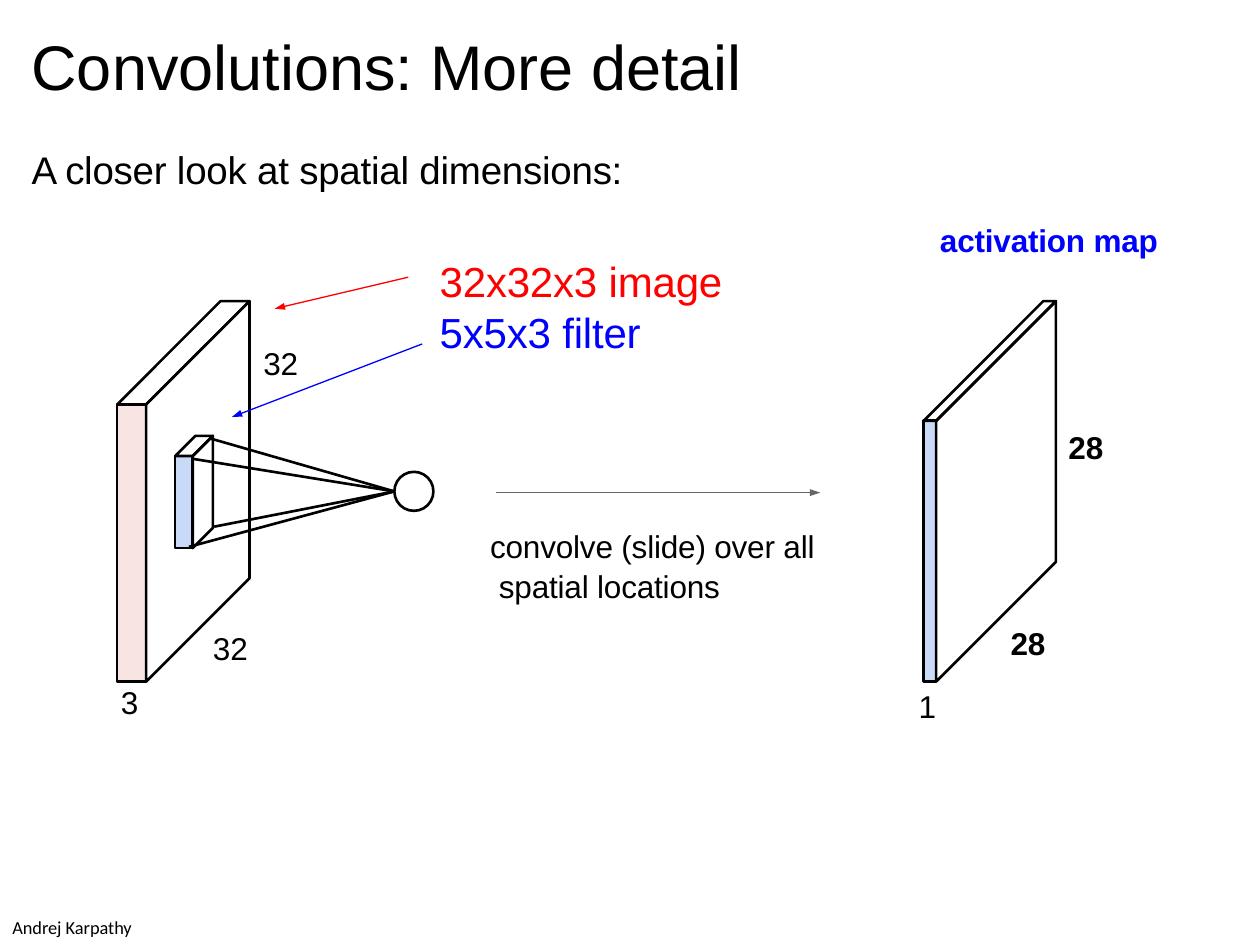
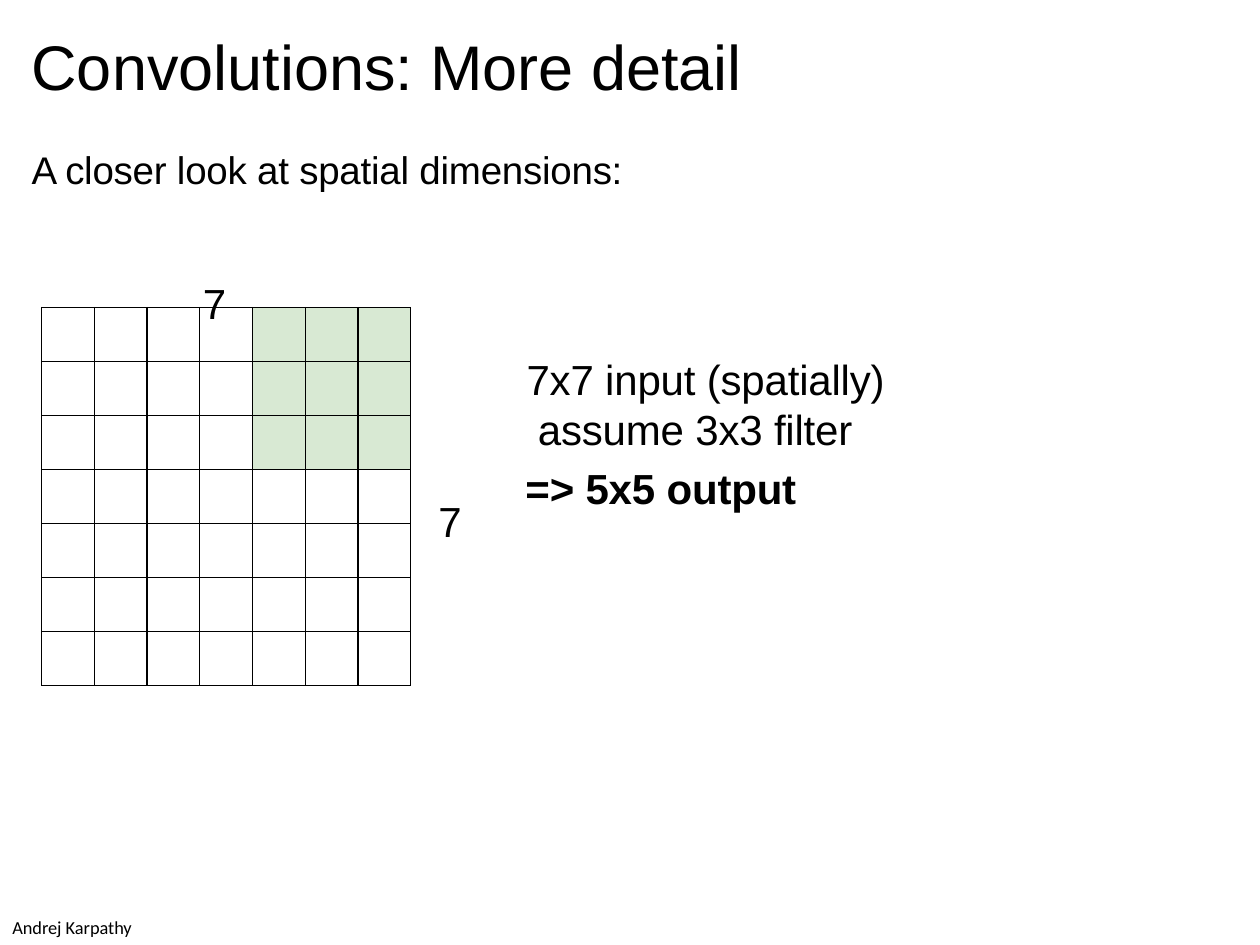
from lxml.etree import SubElement
from pptx import Presentation
from pptx.dml.color import RGBColor
from pptx.enum.shapes import MSO_CONNECTOR, MSO_SHAPE
from pptx.enum.text import MSO_ANCHOR, MSO_AUTO_SIZE, PP_ALIGN
from pptx.oxml.ns import qn
from pptx.util import Inches, Pt

COLORS = {
    "ink": "000000", "red": "FF0000", "blue": "0000FF", "gray": "666666",
    "pale_blue": "C8DAF7", "pale_red": "F4CCCC", "pale_green": "D8E9D3",
}
TEXT_FONT, CREDIT_FONT = "Arial", "Calibri"
TIGHT = -10  # letter spacing, hundredths of a point

HEADING = "Convolutions: More detail"
SUBTITLE = "A closer look at spatial dimensions:"
CREDIT = "Andrej Karpathy"

# front left, front top, front width, height, depth, front colour, front opacity in %
BLOCKS = [
    (1.39, 3.62, 0.14, 0.73, 0.16, "pale_blue", 100),
    (0.93, 3.21, 0.23, 2.2, 0.82, "pale_red", 52),
    (7.33, 3.34, 0.1, 2.07, 0.95, "pale_blue", 100),
]
NEURON_LEFT, NEURON_MIDDLE, NEURON_SIZE = 3.13, 3.9, 0.31
FILTER_CORNERS = [(1.5, 4.34), (1.52, 3.64), (1.67, 3.48), (1.7, 4.18)]
ARROWS = [  # start, end, colour
    ((3.24, 2.2), (2.18, 2.45), "red"),
    ((3.35, 2.73), (1.84, 3.31), "blue"),
    ((3.94, 3.91), (6.51, 3.91), "gray"),
]

# text, (left, top, width, height), options
CONVOLUTION_LABELS = [
    ("32", (1.69, 4.99, 0.31, 0.31), {}),
    ("32", (2.09, 2.73, 0.31, 0.31), {}),
    ("3", (0.96, 5.42, 0.17, 0.31), {}),
    ("1", (7.29, 5.45, 0.17, 0.31), {}),
    ("28", (8.02, 4.95, 0.31, 0.31), {"bold": True}),
    ("28", (8.48, 3.4, 0.31, 0.31), {"bold": True}),
    ("activation map", (7.39, 1.75, 1.8, 0.28),
     {"color": "blue", "bold": True, "align": PP_ALIGN.RIGHT}),
    ("32x32x3 image", (3.49, 2.03, 3, 0.38), {"size": 24, "color": "red"}),
    ("5x5x3 filter", (3.49, 2.43, 3, 0.38), {"size": 24, "color": "blue"}),
    ("convolve (slide) over all\nspatial locations", (3.89, 4.17, 3, 0.6),
     {"spacing": 1.05, "hang": 0.07}),
]
GRID_LABELS = [
    ("7", (1.61, 2.2, 0.21, 0.41), {"size": 24}),
    ("7", (3.48, 3.93, 0.21, 0.41), {"size": 24}),
    ("7x7 input (spatially)\nassume 3x3 filter", (4.18, 2.81, 3.5, 0.8),
     {"size": 24, "spacing": Pt(28.5), "hang": 0.09}),
    ("=> 5x5 output", (4.17, 3.67, 2.19, 0.41), {"size": 24, "bold": True}),
]
GRID_BOX = (0.33, 2.44, 2.93, 3)
GRID_CELLS = 7
FILTER_CELLS = 3


def rgb(name):
    return RGBColor.from_string(COLORS[name])


def style_line(line, color, width):
    line.color.rgb = rgb(color)
    line.width = Pt(width)


def write(shape, text, size=18, color="ink", bold=False, align=PP_ALIGN.LEFT,
          spacing=None, hang=0, font=TEXT_FONT, tracking=TIGHT, inset=0):
    """Set one paragraph per line of text; hang indents every line but the first."""
    frame = shape.text_frame
    frame.auto_size = MSO_AUTO_SIZE.NONE
    frame.word_wrap = True
    frame.vertical_anchor = MSO_ANCHOR.TOP
    frame.margin_left = frame.margin_right = Inches(inset)
    frame.margin_top = frame.margin_bottom = Inches(inset / 2)
    frame.text = text
    for number, paragraph in enumerate(frame.paragraphs):
        paragraph.alignment = align
        if spacing:
            paragraph.line_spacing = spacing
        if number and hang:
            paragraph._p.get_or_add_pPr().set("marL", str(Inches(hang)))
        for run in paragraph.runs:
            run.font.name, run.font.size, run.font.bold = font, Pt(size), bold
            run.font.color.rgb = rgb(color)
            if tracking:
                run._r.get_or_add_rPr().set("spc", str(tracking))


def add_label(slide, text, box, **options):
    shape = slide.shapes.add_textbox(*map(Inches, box))
    write(shape, text, **options)
    return shape


def add_labels(slide, labels):
    for text, box, options in labels:
        add_label(slide, text, box, **options)


def add_base_slide(presentation):
    """Add a slide with the shared heading, subtitle and credit."""
    slide = presentation.slides.add_slide(presentation.slide_layouts[5])
    title = slide.shapes.title
    title.left, title.top, title.width, title.height = map(Inches, (0.25, 1.16, 9.51, 0.37))
    write(title, SUBTITLE, size=22)
    add_label(slide, HEADING, (0.25, 0.22, 9.51, 0.61), size=36, tracking=0)
    credit = add_label(slide, CREDIT, (0, 7.22, 1.17, 0.28), size=10.5,
                       font=CREDIT_FONT, tracking=0, inset=0.1)
    credit.text_frame.word_wrap = False
    return slide


def add_face(slide, points, fill=None, opacity=100):
    start, *others = [tuple(map(Inches, point)) for point in points]
    builder = slide.shapes.build_freeform(*start)
    builder.add_line_segments(others, close=True)
    face = builder.convert_to_shape()
    face.shadow.inherit = False
    style_line(face.line, "ink", 1.5)
    if not fill:
        face.fill.background()
        return
    face.fill.solid()
    face.fill.fore_color.rgb = rgb(fill)
    if opacity < 100:
        color = face._element.spPr.find(qn("a:solidFill"))[0]
        SubElement(color, qn("a:alpha"), val=str(opacity * 1000))


def add_block(slide, left, top, width, height, depth, fill, opacity):
    """Draw a box in oblique view from its front, top and side faces."""
    right, bottom = left + width, top + height
    add_face(slide, [(left, top), (right, top), (right, bottom), (left, bottom)], fill, opacity)
    add_face(slide, [(left, top), (left + depth, top - depth),
                     (right + depth, top - depth), (right, top)])
    add_face(slide, [(right, top), (right + depth, top - depth),
                     (right + depth, bottom - depth), (right, bottom)])


def add_line(slide, start, end, color="ink", width=1.5, arrow=False):
    connector = slide.shapes.add_connector(
        MSO_CONNECTOR.STRAIGHT, *map(Inches, (*start, *end)))
    style_line(connector.line, color, width)
    if arrow:
        SubElement(connector.line._get_or_add_ln(), qn("a:tailEnd"),
                   type="triangle", w="sm", len="med")
    SubElement(connector._element.spPr, qn("a:effectLst"))


def add_neuron(slide):
    neuron = slide.shapes.add_shape(MSO_SHAPE.OVAL, *map(Inches, (
        NEURON_LEFT, NEURON_MIDDLE - NEURON_SIZE / 2, NEURON_SIZE, NEURON_SIZE)))
    neuron.shadow.inherit = False
    neuron.fill.background()
    style_line(neuron.line, "ink", 1.5)
    for corner in FILTER_CORNERS:
        add_line(slide, corner, (NEURON_LEFT, NEURON_MIDDLE))


def border_cell(cell):
    properties = cell._tc.get_or_add_tcPr()
    for position, side in enumerate(("lnL", "lnR", "lnT", "lnB")):
        line = properties.makeelement(qn(f"a:{side}"), {"w": str(Pt(0.75))})
        properties.insert(position, line)
        fill = SubElement(line, qn("a:solidFill"))
        SubElement(fill, qn("a:srgbClr"), val=COLORS["ink"])


def add_input_grid(slide):
    """Draw the input cells, with the filter at the top right corner."""
    table = slide.shapes.add_table(GRID_CELLS, GRID_CELLS, *map(Inches, GRID_BOX)).table
    table.first_row = table.horz_banding = False
    for row in range(GRID_CELLS):
        for column in range(GRID_CELLS):
            cell = table.cell(row, column)
            if row < FILTER_CELLS and column >= GRID_CELLS - FILTER_CELLS:
                cell.fill.solid()
                cell.fill.fore_color.rgb = rgb("pale_green")
            else:
                cell.fill.background()
            border_cell(cell)


def main():
    presentation = Presentation()
    presentation.slide_width, presentation.slide_height = Inches(10), Inches(7.5)

    convolution = add_base_slide(presentation)
    for block in BLOCKS:
        add_block(convolution, *block)
    add_neuron(convolution)
    for start, end, color in ARROWS:
        add_line(convolution, start, end, color, width=0.75, arrow=True)
    add_labels(convolution, CONVOLUTION_LABELS)

    sliding = add_base_slide(presentation)
    add_labels(sliding, GRID_LABELS)
    add_input_grid(sliding)

    presentation.save("out.pptx")


if __name__ == "__main__":
    main()
